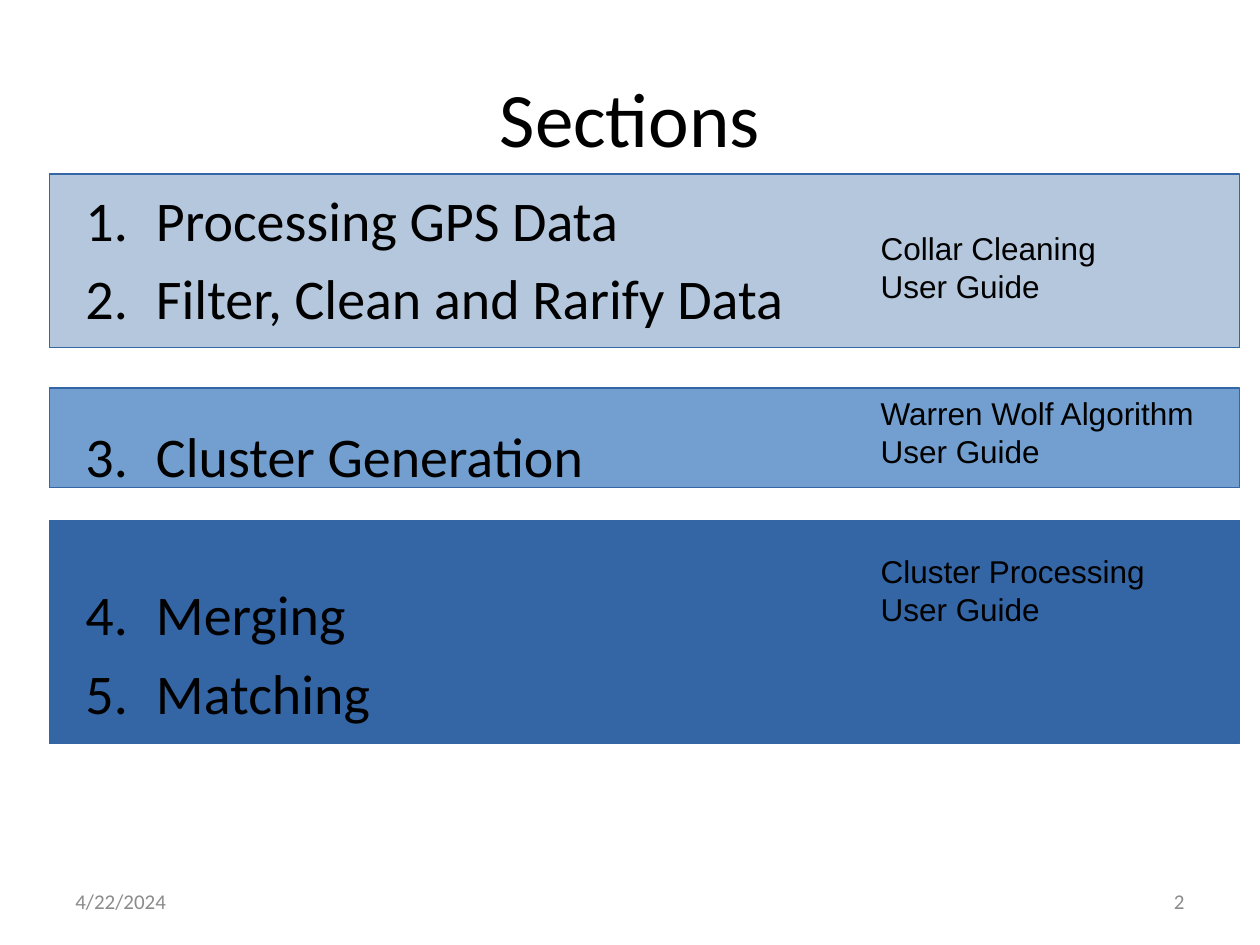
from dataclasses import dataclass

from lxml import etree
from pptx import Presentation, util as u
from pptx.dml.color import RGBColor
from pptx.enum import shapes, text
from pptx.oxml import ns

BLACK, GREY, EDGE = "000000", "8B8B8B", "3465A4"
LINE_GAP = 6.4
GROUP_GAP = 51.9  # one 32 pt line plus two line gaps


@dataclass
class Section:
    top: float
    height: float
    fill: str
    steps: list[str]
    guide: str
    guide_top: float


SECTIONS = [
    Section(1.38, 1.38, "B4C7DC",
            ["Processing GPS Data", "Filter, Clean and Rarify Data"],
            "Collar Cleaning", 1.77),
    Section(3.08, 0.79, "729FCF", ["Cluster Generation"],
            "Warren Wolf Algorithm", 3.08),
    Section(4.13, 1.77, "3465A4", ["Merging", "Matching"],
            "Cluster Processing", 4.33),
]


def colour(hex_value: str) -> RGBColor:
    return RGBColor.from_string(hex_value)


def add_band(page, section: Section) -> None:
    band = page.shapes.add_shape(
        shapes.MSO_SHAPE.RECTANGLE, u.Inches(0.39), u.Inches(section.top),
        u.Inches(9.45), u.Inches(section.height))
    band.shadow.inherit = False
    band.fill.solid()
    band.fill.fore_color.rgb = colour(section.fill)
    band.line.color.rgb = colour(EDGE)
    band.line.width = 0


def add_text(page, lines: list[str], left: float, top: float, width: float,
             height: float, *, size: float, font: str = "Calibri",
             color: str = BLACK, align=text.PP_ALIGN.LEFT,
             anchor=text.MSO_ANCHOR.TOP):
    box = page.shapes.add_textbox(u.Inches(left), u.Inches(top),
                                  u.Inches(width), u.Inches(height))
    frame = box.text_frame
    frame.word_wrap = True
    frame.vertical_anchor = anchor
    frame.text = "\n".join(lines)
    for para in frame.paragraphs:
        para.alignment = align
        for span in para.runs:
            span.font.size = u.Pt(size)
            span.font.name = font
            span.font.color.rgb = colour(color)
    return box


def number_paragraph(para, space_before: float) -> None:
    """Make the paragraph an automatically numbered item with a hanging indent."""
    para.space_before = u.Pt(space_before)
    props = para._p.get_or_add_pPr()
    props.set("marL", str(u.Inches(0.56)))
    props.set("indent", str(u.Inches(-0.56)))
    bullet_color = etree.SubElement(props, ns.qn("a:buClr"))
    etree.SubElement(bullet_color, ns.qn("a:srgbClr"), val=BLACK)
    etree.SubElement(props, ns.qn("a:buFont"), typeface="Calibri")
    etree.SubElement(props, ns.qn("a:buAutoNum"), type="arabicPeriod")


def add_steps(page) -> None:
    steps = [step for section in SECTIONS for step in section.steps]
    group_starts = {section.steps[0] for section in SECTIONS[1:]}
    box = add_text(page, steps, 0.58, 1.42, 9, 5.33, size=32)
    for para in box.text_frame.paragraphs:
        number_paragraph(
            para, GROUP_GAP if para.text in group_starts else LINE_GAP)


def main() -> None:
    deck = Presentation()
    deck.slide_width, deck.slide_height = u.Inches(10), u.Inches(7.5)
    page = deck.slides.add_slide(deck.slide_layouts[6])

    for section in SECTIONS:
        add_band(page, section)
    middle = text.MSO_ANCHOR.MIDDLE
    add_text(page, ["Sections"], 0.5, 0.3, 9, 1.25, size=44,
             align=text.PP_ALIGN.CENTER, anchor=middle)
    add_steps(page)
    add_text(page, ["4/22/2024"], 0.5, 6.95, 2.33, 0.4, size=12, color=GREY,
             anchor=middle)
    add_text(page, ["2"], 7.17, 6.95, 2.33, 0.4, size=12, color=GREY,
             align=text.PP_ALIGN.RIGHT, anchor=middle)
    for section in SECTIONS:
        add_text(page, [section.guide, "User Guide"], 6.89, section.guide_top,
                 2.95, 0.66, size=18, font="Arial")

    deck.save("out.pptx")


if __name__ == "__main__":
    main()
